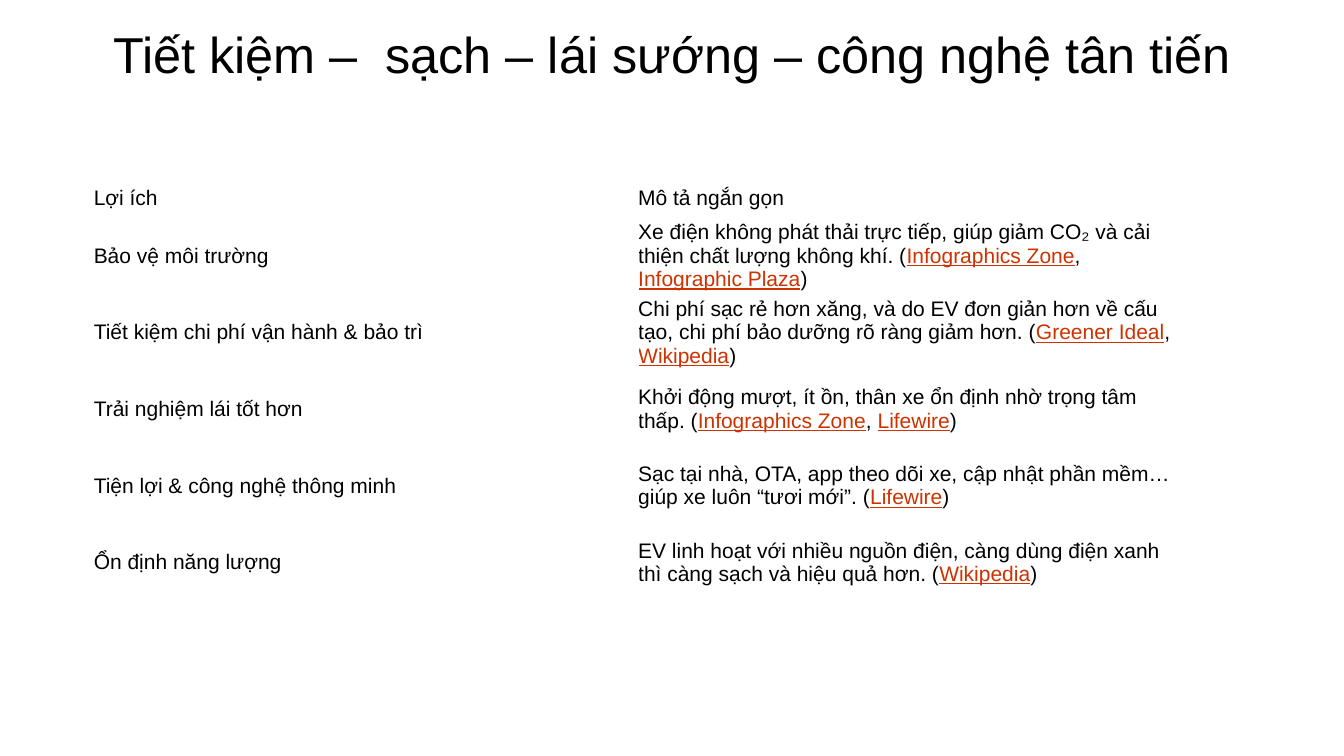
from pptx import Presentation
from pptx.dml.color import RGBColor
from pptx.enum.text import MSO_ANCHOR, PP_ALIGN
from pptx.util import Inches, Pt

BLACK = RGBColor(0x00, 0x00, 0x00)
LINK_RED = RGBColor(0xCC, 0x33, 0x00)
MIDDLE = MSO_ANCHOR.MIDDLE
CENTER = PP_ALIGN.CENTER
LEFT = PP_ALIGN.LEFT

TITLE = "Tiết kiệm –  sạch – lái sướng – công nghệ tân tiến"
HEADINGS = ("Lợi ích", "Mô tả ngắn gọn")

# Benefit, short description, cited sources
BENEFITS = [
    ("Bảo vệ môi trường",
     "Xe điện không phát thải trực tiếp, giúp giảm CO₂ và cải thiện chất lượng không khí.",
     ["Infographics Zone", "Infographic Plaza"]),
    ("Tiết kiệm chi phí vận hành & bảo trì",
     "Chi phí sạc rẻ hơn xăng, và do EV đơn giản hơn về cấu tạo, "
     "chi phí bảo dưỡng rõ ràng giảm hơn.",
     ["Greener Ideal", "Wikipedia"]),
    ("Trải nghiệm lái tốt hơn",
     "Khởi động mượt, ít ồn, thân xe ổn định nhờ trọng tâm thấp.",
     ["Infographics Zone", "Lifewire"]),
    ("Tiện lợi & công nghệ thông minh",
     "Sạc tại nhà, OTA, app theo dõi xe, cập nhật phần mềm… giúp xe luôn “tươi mới”.",
     ["Lifewire"]),
    ("Ổn định năng lượng",
     "EV linh hoạt với nhiều nguồn điện, càng dùng điện xanh thì càng sạch và hiệu quả hơn.",
     ["Wikipedia"]),
]


def add_text(paragraph, text, size=15, font="Arial", color=BLACK, underline=False, align=LEFT):
    paragraph.alignment = align
    run = paragraph.add_run()
    run.text = text
    run.font.name = font
    run.font.size = Pt(size)
    run.font.color.rgb = color
    run.font.underline = underline


def add_sources(paragraph, sources):
    """Append the cited sources in brackets, each one underlined."""
    separator = " ("
    for source in sources:
        add_text(paragraph, separator)
        add_text(paragraph, source, color=LINK_RED, underline=True)
        separator = ", "
    add_text(paragraph, ")")


class SlideBuilder:
    title_size = 36

    def __init__(self, slide):
        self.slide = slide

    def clear_margins(self, holder):
        holder.margin_left = holder.margin_right = 0
        holder.margin_top = holder.margin_bottom = 0

    def title(self, text, left, top, width, height):
        shape = self.slide.shapes.add_textbox(
            Inches(left), Inches(top), Inches(width), Inches(height))
        frame = shape.text_frame
        frame.word_wrap = True
        frame.vertical_anchor = MIDDLE
        self.clear_margins(frame)
        add_text(frame.paragraphs[0], text, size=self.title_size, align=CENTER)

    def cell(self, cell, text, sources=()):
        cell.fill.background()
        cell.vertical_anchor = MIDDLE
        self.clear_margins(cell)
        paragraph = cell.text_frame.paragraphs[0]
        add_text(paragraph, text)
        if sources:
            add_sources(paragraph, sources)

    def benefits_table(self, left, top, column_width, header_height, row_height):
        height = header_height + row_height * len(BENEFITS)
        table = self.slide.shapes.add_table(
            len(BENEFITS) + 1, len(HEADINGS), Inches(left), Inches(top),
            Inches(column_width * len(HEADINGS)), Inches(height)).table
        table.first_row = False
        table.horz_banding = False
        for column in table.columns:
            column.width = Inches(column_width)
        for row in table.rows:
            row.height = Inches(row_height)
        table.rows[0].height = Inches(header_height)

        for index, heading in enumerate(HEADINGS):
            self.cell(table.cell(0, index), heading)
        for index, (benefit, description, sources) in enumerate(BENEFITS, start=1):
            self.cell(table.cell(index, 0), benefit)
            self.cell(table.cell(index, 1), description, sources)


def main():
    presentation = Presentation()
    presentation.slide_width = Inches(13.33)
    presentation.slide_height = Inches(7.5)
    builder = SlideBuilder(presentation.slides.add_slide(presentation.slide_layouts[6]))

    # Title
    builder.title(TITLE, 0.67, 0.21, 12, 0.64)

    # Benefits of electric cars
    builder.benefits_table(0.93, 1.78, column_width=5.4, header_height=0.38, row_height=0.76)

    presentation.save("out.pptx")


if __name__ == "__main__":
    main()
